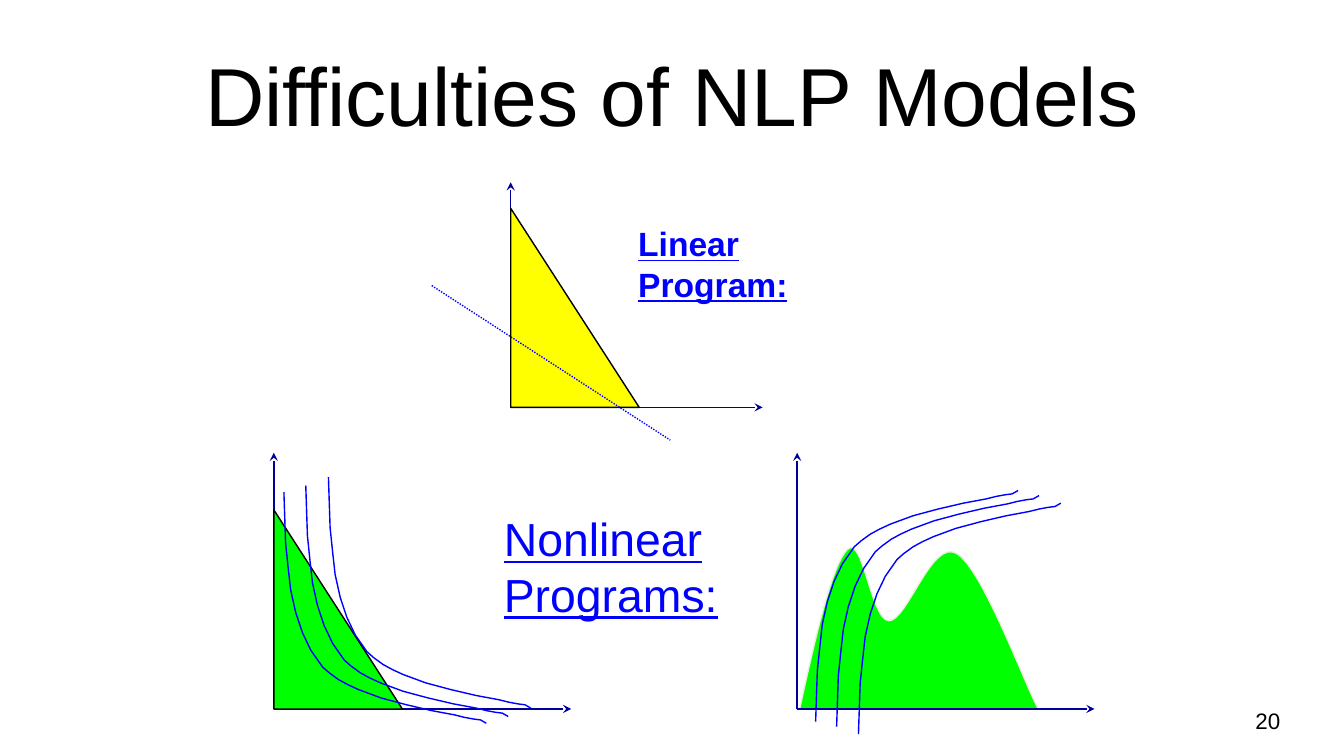
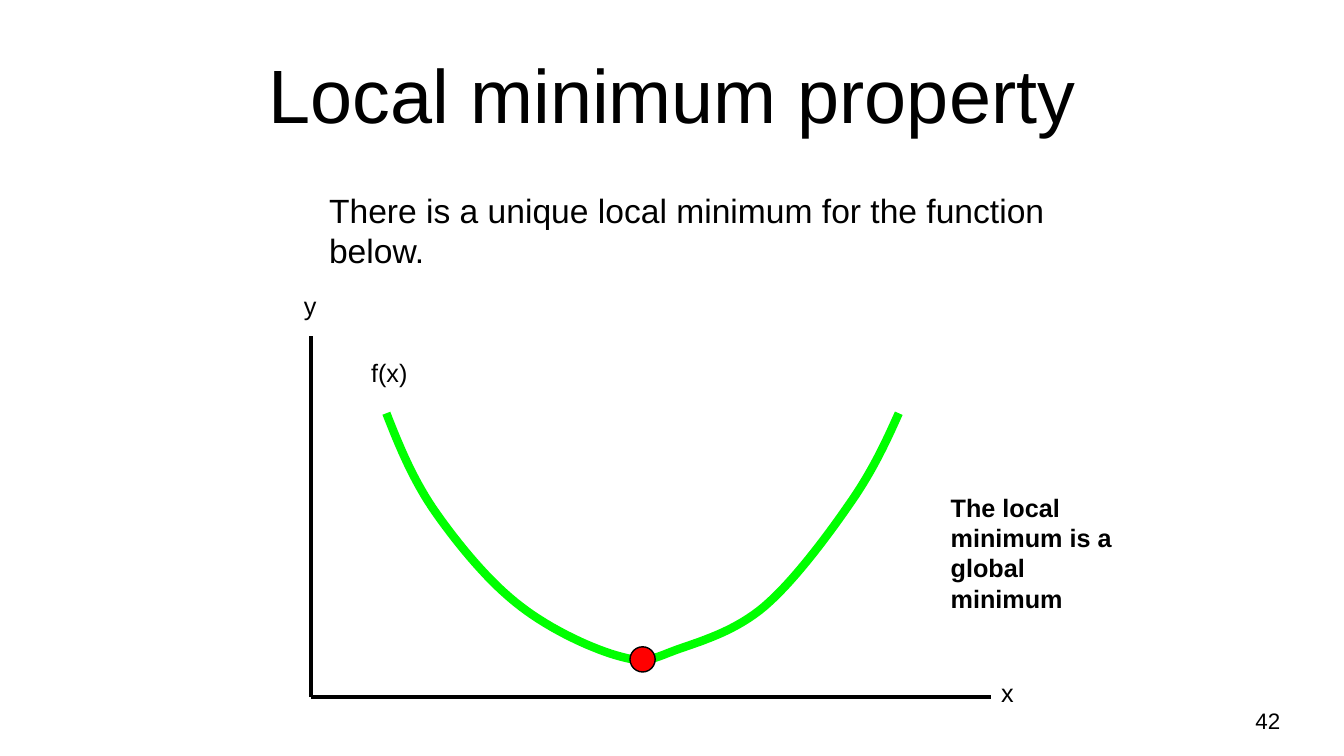
from lxml import etree
from pptx import Presentation
from pptx.dml.color import RGBColor
from pptx.enum.dml import MSO_LINE
from pptx.enum.shapes import MSO_CONNECTOR, MSO_SHAPE
from pptx.enum.text import MSO_ANCHOR, MSO_AUTO_SIZE, PP_ALIGN
from pptx.oxml.ns import qn
from pptx.util import Emu, Pt

LEFT, CENTER, RIGHT = PP_ALIGN.LEFT, PP_ALIGN.CENTER, PP_ALIGN.RIGHT
TOP, MIDDLE = MSO_ANCHOR.TOP, MSO_ANCHOR.MIDDLE
NO_AUTOFIT = MSO_AUTO_SIZE.NONE
STRAIGHT = MSO_CONNECTOR.STRAIGHT
OVAL = MSO_SHAPE.OVAL
DOTTED = MSO_LINE.ROUND_DOT

COLUMNS, ROWS = 160, 90
CELL = 76200
TITLE_ONLY = 5
CURVE_STEPS = 16

FONT = "Arial"
BLACK = "000000"
BLUE = "0000FF"
NAVY = "000099"
GREEN = "00FF00"
YELLOW = "FFFF00"
RED = "FF0000"
CREAM = "EEECE1"

TITLE_AREA = (8, 3.6, 144, 15)
NUMBER_AREA = (116.3, 83.4, 37.3, 4.8)
TRIANGLE_WIDTH, TRIANGLE_HEIGHT = 15.3, 23.7

LEVEL_CURVE = [
    (0, 0), (0.2, 6), (0.5, 8.9), (0.8, 11.6), (1.4, 14.3),
    (2.2, 16.7), (3.2, 18.8), (4.6, 20.8), (5.4, 21.5), (6.5, 22.3),
    (7.6, 22.9), (8.9, 23.5), (11.6, 24.5), (14.6, 25.3), (17.6, 26),
    (20.3, 26.5), (21.5, 26.8), (22.6, 27), (23.4, 27.1), (24.1, 27.5),
]
FALLING_STARTS = [(33.8, 58.6), (36.4, 57.8), (39.1, 56.8)]
RISING_STARTS = [(97.1, 85.9), (99.6, 86.5), (102.2, 87.4)]

TWO_HUMPS = [
    (95.2, 84.4),
    (97.1, 75.7), (99.1, 67.1), (100.9, 65.4),
    (102.7, 63.6), (103.7, 73.8), (105.8, 73.9),
    (108, 74), (110.9, 64.1), (113.9, 65.9),
    (116.9, 67.6), (121.9, 81.2), (123.6, 84.4),
]
VALLEY = [
    (46, 49.2),
    (47.6, 53.3), (49.3, 57.4), (52, 61.2),
    (54.7, 65), (58.3, 69.4), (62, 72.2),
    (65.6, 75), (70.8, 77.4), (74, 78.2),
    (77.2, 79.1), (78.1, 78.2), (81, 77.2),
    (83.9, 76.2), (87.7, 75), (91, 72.2),
    (94.3, 69.4), (98.3, 64.1), (101, 60.2),
    (103.7, 56.4), (105.4, 52.8), (107, 49.2),
]


def color(value):
    return RGBColor.from_string(value)


def cells(*counts):
    return [Emu(round(count * CELL)) for count in counts]


def write(frame, text, size=18, hue=BLACK, bold=False, underline=False,
          align=LEFT, anchor=TOP):
    frame.word_wrap = True
    frame.auto_size = NO_AUTOFIT
    frame.vertical_anchor = anchor
    para = frame.paragraphs[0]
    para.alignment = align
    span = para.add_run()
    span.text = text
    span.font.name = FONT
    span.font.size = Pt(size)
    span.font.color.rgb = color(hue)
    span.font.bold = bold
    span.font.underline = underline


def add_text(page, area, text, **style):
    box = page.shapes.add_textbox(*cells(*area))
    write(box.text_frame, text, **style)


def add_page(deck, title, size, number):
    page = deck.slides.add_slide(deck.slide_layouts[TITLE_ONLY])
    heading = page.shapes.title
    heading.left, heading.top, heading.width, heading.height = cells(*TITLE_AREA)
    write(heading.text_frame, title, size=size, align=CENTER, anchor=MIDDLE)
    add_text(page, NUMBER_AREA, number, size=16, align=RIGHT, anchor=MIDDLE)
    return page


def paint(shape, fill, line, width):
    shape.shadow.inherit = False
    if fill:
        shape.fill.solid()
        shape.fill.fore_color.rgb = color(fill)
    else:
        shape.fill.background()
    shape.line.color.rgb = color(line)
    shape.line.width = Pt(width)


def add_line(page, start, end, hue, width=1, arrow=False, dash=None):
    line = page.shapes.add_connector(STRAIGHT, *cells(*start, *end))
    line.line.color.rgb = color(hue)
    line.line.width = Pt(width)
    if dash:
        line.line.dash_style = dash
    properties = line._element.spPr
    if arrow:
        tip = etree.SubElement(properties.find(qn("a:ln")), qn("a:tailEnd"))
        tip.set("type", "stealth")
    etree.SubElement(properties, qn("a:effectLst"))


def add_axes(page, origin, right, up, hue=NAVY, width=1, arrow=True):
    x, y = origin
    for end in [(x, y - up), (x + right, y)]:
        add_line(page, origin, end, hue, width, arrow)


def add_outline(page, points, fill=None, line=BLACK, width=1, close=False):
    start, *rest = [cells(*point) for point in points]
    builder = page.shapes.build_freeform(*start)
    builder.add_line_segments(rest, close=close)
    paint(builder.convert_to_shape(), fill, line, width)


def add_triangle(page, corner, fill):
    x, y = corner
    points = [(x, y - TRIANGLE_HEIGHT), (x, y), (x + TRIANGLE_WIDTH, y)]
    add_outline(page, points, fill=fill, close=True)


def add_level_curves(page, starts, direction):
    for left, top in starts:
        points = [(left + x, top + direction * y) for x, y in LEVEL_CURVE]
        add_outline(page, points, line=BLUE)


def smooth_points(controls):
    points = [controls[0]]
    for first in range(0, len(controls) - 1, 3):
        segment = controls[first:first + 4]
        for step in range(1, CURVE_STEPS + 1):
            t = step / CURVE_STEPS
            weights = ((1 - t) ** 3, 3 * t * (1 - t) ** 2,
                       3 * t ** 2 * (1 - t), t ** 3)
            points.append(tuple(
                sum(weight * value for weight, value in zip(weights, axis))
                for axis in zip(*segment)))
    return points


def add_difficulties(deck):
    page = add_page(deck, "Difficulties of NLP Models", 58.7, "20")
    add_text(page, (58.8, 60.2, 40.2, 11.8), "Nonlinear Programs:",
             size=33.1, hue=BLUE, underline=True)

    falling_origin = (32.6, 84.4)
    add_axes(page, falling_origin, right=35.4, up=30.5)
    add_triangle(page, falling_origin, GREEN)
    add_level_curves(page, FALLING_STARTS, 1)

    linear_origin = (60.8, 48.5)
    add_axes(page, linear_origin, right=30, up=26.8)
    add_triangle(page, linear_origin, YELLOW)
    add_text(page, (74.8, 26, 31, 5.3), "Linear Program:",
             size=24, hue=BLUE, bold=True, underline=True)
    add_line(page, (51.4, 34), (79.8, 52.4), BLUE, dash=DOTTED)

    add_outline(page, smooth_points(TWO_HUMPS), fill=GREEN, line=CREAM, close=True)
    add_axes(page, (94.9, 84.4), right=35.4, up=30.5)
    add_level_curves(page, RISING_STARTS, -1)


def add_local_minimum(deck):
    page = add_page(deck, "Local minimum property", 54, "42")
    add_text(page, (38, 22, 96, 12),
             "There is a unique local minimum for the function below.", size=24)
    add_axes(page, (37, 83), right=81, up=43, hue=BLACK, width=3, arrow=False)
    for label, left, top in [("y", 35, 34), ("x", 118, 80), ("f(x)", 43, 42)]:
        add_text(page, (left, top, 10, 4.8), label)
    add_outline(page, smooth_points(VALLEY), line=GREEN, width=6)
    minimum = page.shapes.add_shape(OVAL, *cells(75, 77, 3, 3))
    paint(minimum, RED, BLACK, 1)
    add_text(page, (112, 58, 24, 15.7),
             "The local minimum is a global minimum", bold=True)


def main():
    deck = Presentation()
    deck.slide_width, deck.slide_height = cells(COLUMNS, ROWS)
    add_difficulties(deck)
    add_local_minimum(deck)
    deck.save("out.pptx")


if __name__ == "__main__":
    main()
